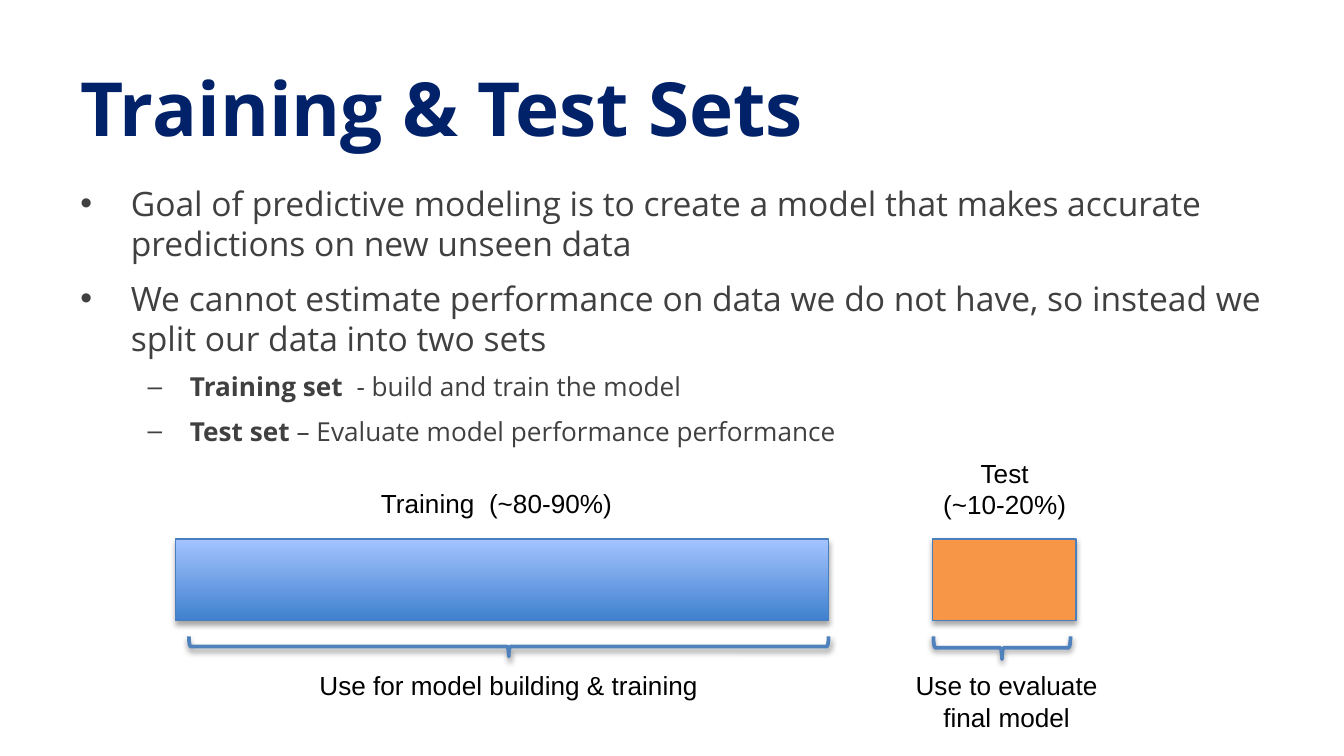
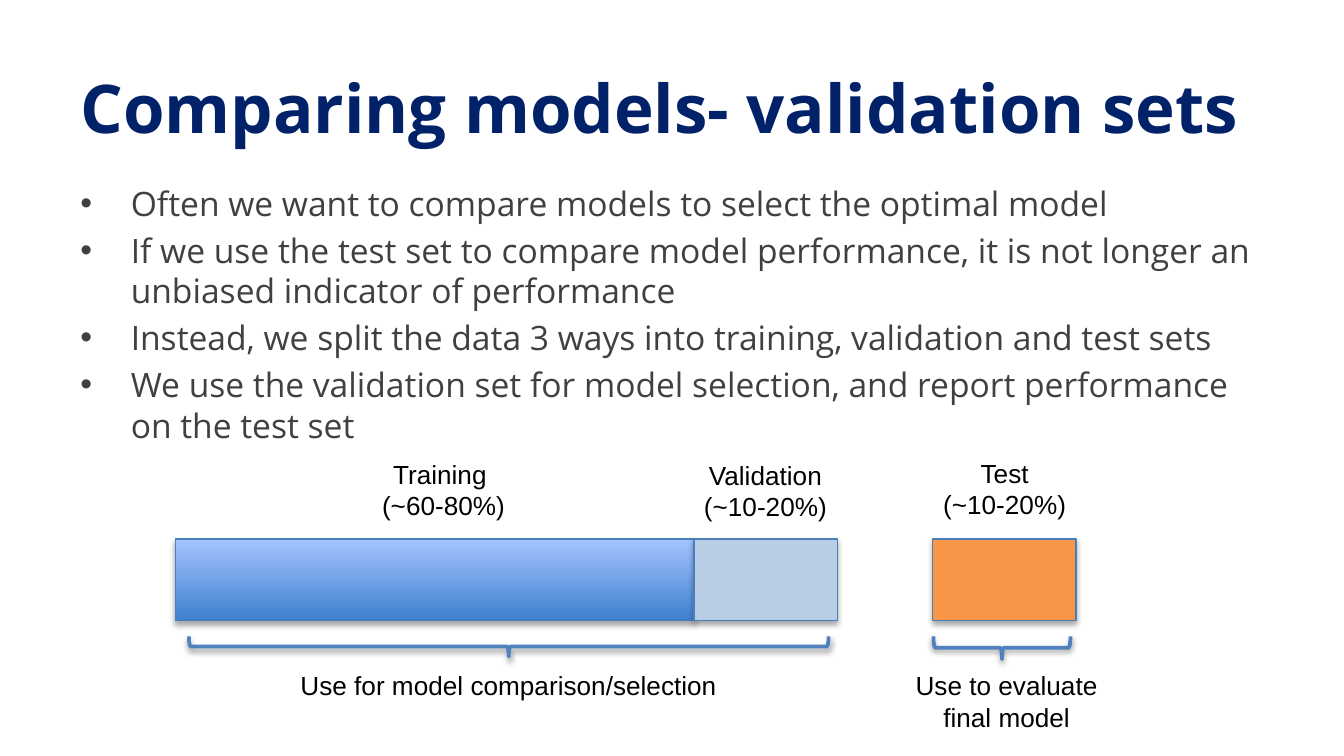
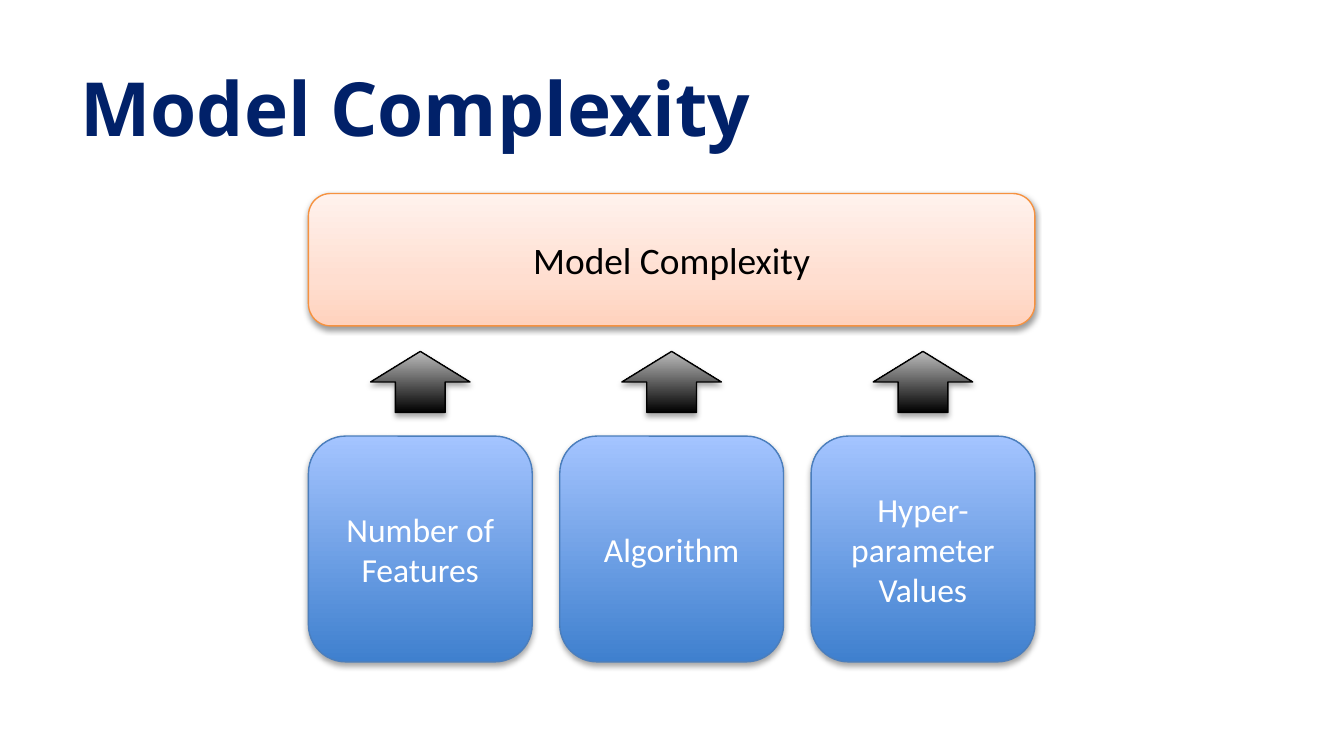
from copy import deepcopy

from lxml import etree
from pptx import Presentation
from pptx.dml.color import RGBColor
from pptx.enum.shapes import MSO_SHAPE
from pptx.enum.text import MSO_ANCHOR, MSO_AUTO_SIZE, PP_ALIGN
from pptx.oxml.ns import qn
from pptx.util import Emu, Pt

# Scale: 200 px to the inch
PX = 4572
SLIDE_WIDTH, SLIDE_HEIGHT = 2000, 1125

# Enum members
RECTANGLE = MSO_SHAPE.RECTANGLE
ROUNDED = MSO_SHAPE.ROUNDED_RECTANGLE
UP_ARROW = MSO_SHAPE.UP_ARROW
BRACE = MSO_SHAPE.RIGHT_BRACE
CENTER = PP_ALIGN.CENTER
MIDDLE = MSO_ANCHOR.MIDDLE
GROW = MSO_AUTO_SIZE.SHAPE_TO_FIT_TEXT

# Colours
NAVY = RGBColor(0x01, 0x21, 0x69)
GRAY = RGBColor(0x40, 0x40, 0x40)
BLACK = RGBColor(0x00, 0x00, 0x00)
WHITE = RGBColor(0xFF, 0xFF, 0xFF)
BLUE_LINE = RGBColor(0x4B, 0x7E, 0xBC)
BRACE_BLUE = RGBColor(0x4F, 0x81, 0xBD)
PALE_BLUE = RGBColor(0xB9, 0xCD, 0xE5)
ORANGE = RGBColor(0xF7, 0x96, 0x46)
ORANGE_LINE = RGBColor(0xF6, 0x92, 0x40)

# Gradients run from bottom to top: (position, colour)
BLUE_GRADIENT = [(0, RGBColor(0x3F, 0x80, 0xCE)), (1, RGBColor(0xA4, 0xC4, 0xFF))]
BLACK_GRADIENT = [(0, BLACK), (1, RGBColor(0xBD, 0xBD, 0xBD))]
PEACH_GRADIENT = [(0, RGBColor(0xFF, 0xD2, 0xBD)), (0.35, RGBColor(0xFF, 0xDE, 0xD0)),
                  (1, RGBColor(0xFF, 0xF2, 0xED))]

# Fonts
HEADING_FONT, LABEL_FONT, CARD_FONT = "Open Sans", "Arial", "Calibri"

# Bullet levels: symbol, text indent, hanging indent (px), size (pt)
BULLET_LEVELS = [("•", 75, 75, 18), ("–", 163, 63, 14)]

# Data bars
BAR_LEFT, BAR_TOP, BAR_HEIGHT = 261, 802, 122
TEST_LEFT, SMALL_BAR_WIDTH = 1388, 213


class Deck:
    """Holds the style and the current slide."""

    def __init__(self):
        self.presentation = Presentation()
        self.presentation.slide_width = Emu(SLIDE_WIDTH * PX)
        self.presentation.slide_height = Emu(SLIDE_HEIGHT * PX)
        self.slide = None

    def new_slide(self, title, size=40):
        self.slide = self.presentation.slides.add_slide(self.presentation.slide_layouts[6])
        text_frame = self.text_box(100, 85, 1800, 148)
        text_frame.vertical_anchor = MIDDLE
        text_frame.text = title
        self.style(text_frame.paragraphs[0], HEADING_FONT, size, NAVY, bold=True)

    def style(self, paragraph, name, size, color, bold=False):
        for run in paragraph.runs:
            run.font.name = name
            run.font.size = Pt(size)
            run.font.color.rgb = color
            run.font.bold = bold

    def text_box(self, left, top, width, height):
        box = self.slide.shapes.add_textbox(*(Emu(n * PX) for n in (left, top, width, height)))
        box.text_frame.word_wrap = True
        return box.text_frame

    def label(self, left, top, width, text, height=114):
        text_frame = self.text_box(left, top, width, height)
        text_frame.auto_size = GROW
        text_frame.text = text
        for paragraph in text_frame.paragraphs:
            paragraph.alignment = CENTER
            self.style(paragraph, LABEL_FONT, 14, BLACK)

    def bullets(self, items, space_after=0):
        """Each item is (level, bold lead, text)."""
        text_frame = self.text_box(100, 262, 1800, 696)
        for index, (level, lead, text) in enumerate(items):
            symbol, indent, hanging, size = BULLET_LEVELS[level]
            paragraph = text_frame.add_paragraph() if index else text_frame.paragraphs[0]
            paragraph.level = level
            paragraph.space_before = Pt(0.2 * size if index else 0)
            paragraph.space_after = Pt(space_after)
            properties = paragraph._p.get_or_add_pPr()
            properties.set("marL", str(indent * PX))
            properties.set("indent", str(-hanging * PX))
            etree.SubElement(properties, qn("a:buFont"), typeface=LABEL_FONT)
            etree.SubElement(properties, qn("a:buChar"), char=symbol)
            for part in filter(None, (lead, text)):
                paragraph.add_run().text = part
            self.style(paragraph, HEADING_FONT, size, GRAY)
            paragraph.runs[0].font.bold = bool(lead)

    def shape(self, kind, left, top, width, height, fill, line, line_width=0.75):
        """Shadowed shape; fill is a colour, a list of gradient stops or None."""
        shape = self.slide.shapes.add_shape(
            kind, *(Emu(int(n * PX)) for n in (left, top, width, height)))
        if fill is None:
            shape.fill.background()
        elif isinstance(fill, list):
            self.gradient(shape, fill)
        else:
            shape.fill.solid()
            shape.fill.fore_color.rgb = fill
        shape.line.color.rgb = line
        shape.line.width = Pt(line_width)
        self.shadow(shape, *((38, 1.6) if fill in (None, PEACH_GRADIENT) else (35, 1.8)))
        return shape

    def gradient(self, shape, stops):
        shape.fill.gradient()
        shape.fill.gradient_angle = 90
        stop_list = shape._element.spPr.find(".//" + qn("a:gsLst"))
        for _ in stops[2:]:
            stop_list.append(deepcopy(stop_list[-1]))
        for stop, (position, color) in zip(shape.fill.gradient_stops, stops):
            stop.position = position
            stop.color.rgb = color

    def shadow(self, shape, opacity, distance):
        shape.shadow.inherit = False
        effects = shape._element.spPr.find(qn("a:effectLst"))
        outer = etree.SubElement(effects, qn("a:outerShdw"), blurRad=str(Pt(3.1)),
                                 dist=str(Pt(distance)), dir="5400000", rotWithShape="0")
        color = etree.SubElement(outer, qn("a:srgbClr"), val=str(BLACK))
        etree.SubElement(color, qn("a:alpha"), val=str(opacity * 1000))

    def bar(self, left, width, fill):
        self.shape(RECTANGLE, left, BAR_TOP, width, BAR_HEIGHT, fill, BLUE_LINE)

    def brace(self, left, top, length, depth):
        """Brace pointing down, given by the frame it covers once turned."""
        offset = (length - depth) / 2
        brace = self.shape(BRACE, left + offset, top - offset, depth, length,
                           None, BRACE_BLUE, 2)
        brace.rotation = 90

    def card(self, left, top, width, height, text, size, color, fill, line):
        text_frame = self.shape(ROUNDED, left, top, width, height, fill, line).text_frame
        text_frame.word_wrap = True
        text_frame.vertical_anchor = MIDDLE
        text_frame.text = text
        text_frame.paragraphs[0].alignment = CENTER
        self.style(text_frame.paragraphs[0], CARD_FONT, size, color)

    def split(self, usage):
        """Parts common to both data splits: test set, braces and usage notes."""
        self.bar(TEST_LEFT, SMALL_BAR_WIDTH, ORANGE)
        self.label(1364, 671, 262, "Test\n(~10-20%)")
        self.brace(281, 947, 952, 30)
        self.label(348, 987, 818, usage, height=68)
        self.brace(1389, 947, 204, 34)
        self.label(1320, 987, 356, "Use to evaluate final model")


def training_and_test(deck):
    deck.new_slide("Training & Test Sets")
    deck.bullets([
        (0, "", "Goal of predictive modeling is to create a model that makes accurate "
                "predictions on new unseen data"),
        (0, "", "We cannot estimate performance on data we do not have, so instead we "
                "split our data into two sets"),
        (1, "Training set  ", "- build and train the model"),
        (1, "Test set ", "– Evaluate model performance performance"),
    ], space_after=4)
    deck.bar(BAR_LEFT, 972, BLUE_GRADIENT)
    deck.label(388, 716, 702, "Training  (~80-90%)", height=68)
    deck.split("Use for model building & training")


def validation_sets(deck):
    deck.new_slide("Comparing models- validation sets", size=36)
    deck.bullets([(0, "", text) for text in (
        "Often we want to compare models to select the optimal model",
        "If we use the test set to compare model performance, it is not longer an "
        "unbiased indicator of performance",
        "Instead, we split the data 3 ways into training, validation and test sets",
        "We use the validation set for model selection, and report performance on the test set",
    )])
    training_width = 772
    deck.bar(BAR_LEFT, training_width, BLUE_GRADIENT)
    deck.bar(BAR_LEFT + training_width, SMALL_BAR_WIDTH, PALE_BLUE)
    deck.label(388, 672, 544, "Training \n(~60-80%)")
    deck.label(1008, 674, 262, "Validation\n(~10-20%)")
    deck.split("Use for model comparison/selection")


def model_complexity(deck):
    deck.new_slide("Model Complexity")
    factors = ["Number of Features", "Algorithm", "Hyper-parameter Values"]
    left, card_width, step, arrow_width = 459, 333, 374, 148
    total_width = step * (len(factors) - 1) + card_width
    deck.card(left, 288, total_width, 197, "Model Complexity", 20, BLACK,
              PEACH_GRADIENT, ORANGE_LINE)
    for index, factor in enumerate(factors):
        card_left = left + index * step
        deck.card(card_left, 649, card_width, 336, factor, 18, WHITE, BLUE_GRADIENT, BLUE_LINE)
        deck.shape(UP_ARROW, card_left + (card_width - arrow_width) / 2, 523,
                   arrow_width, 91, BLACK_GRADIENT, BLACK)


def main():
    deck = Deck()
    training_and_test(deck)
    validation_sets(deck)
    model_complexity(deck)
    deck.presentation.save("out.pptx")


if __name__ == "__main__":
    main()
